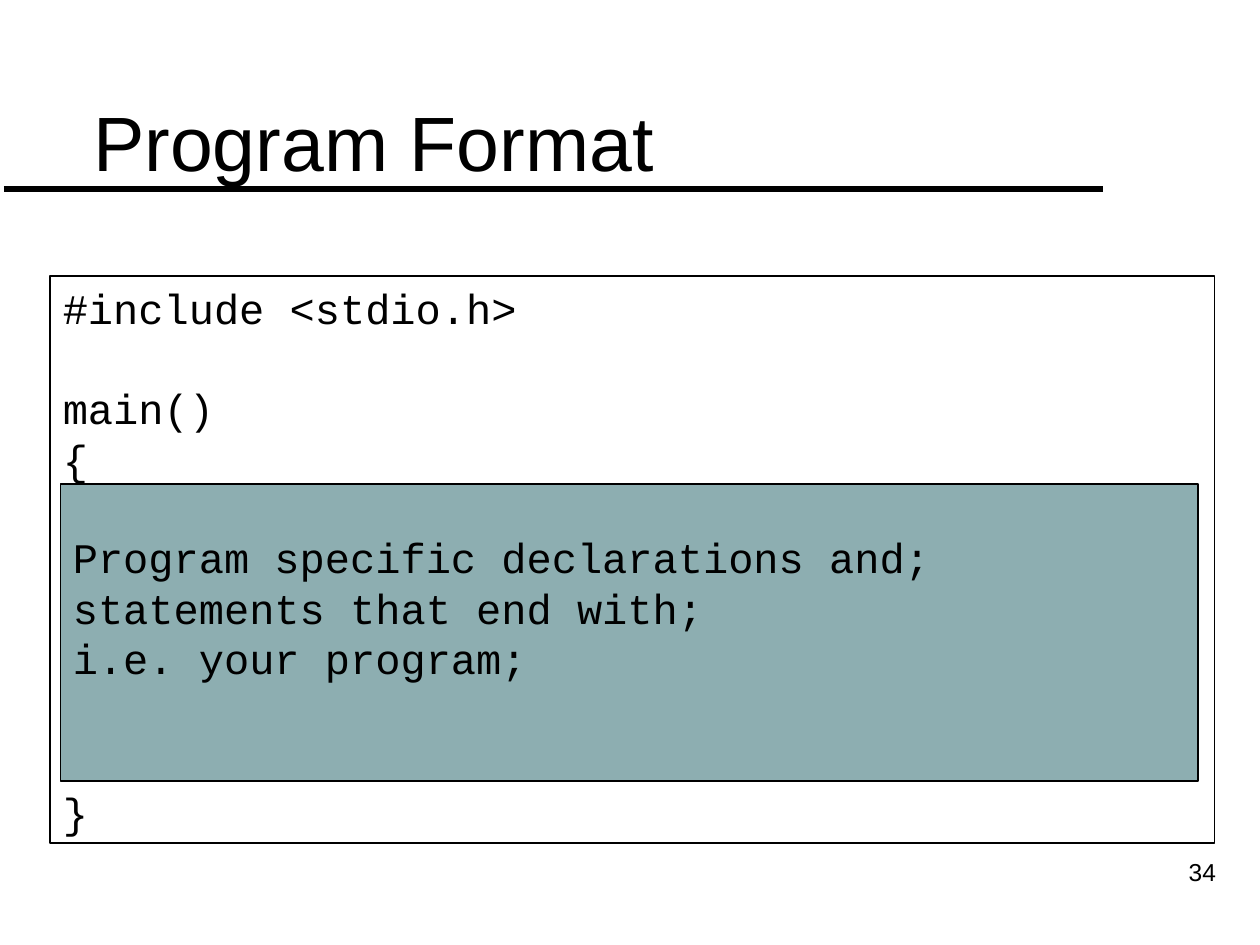
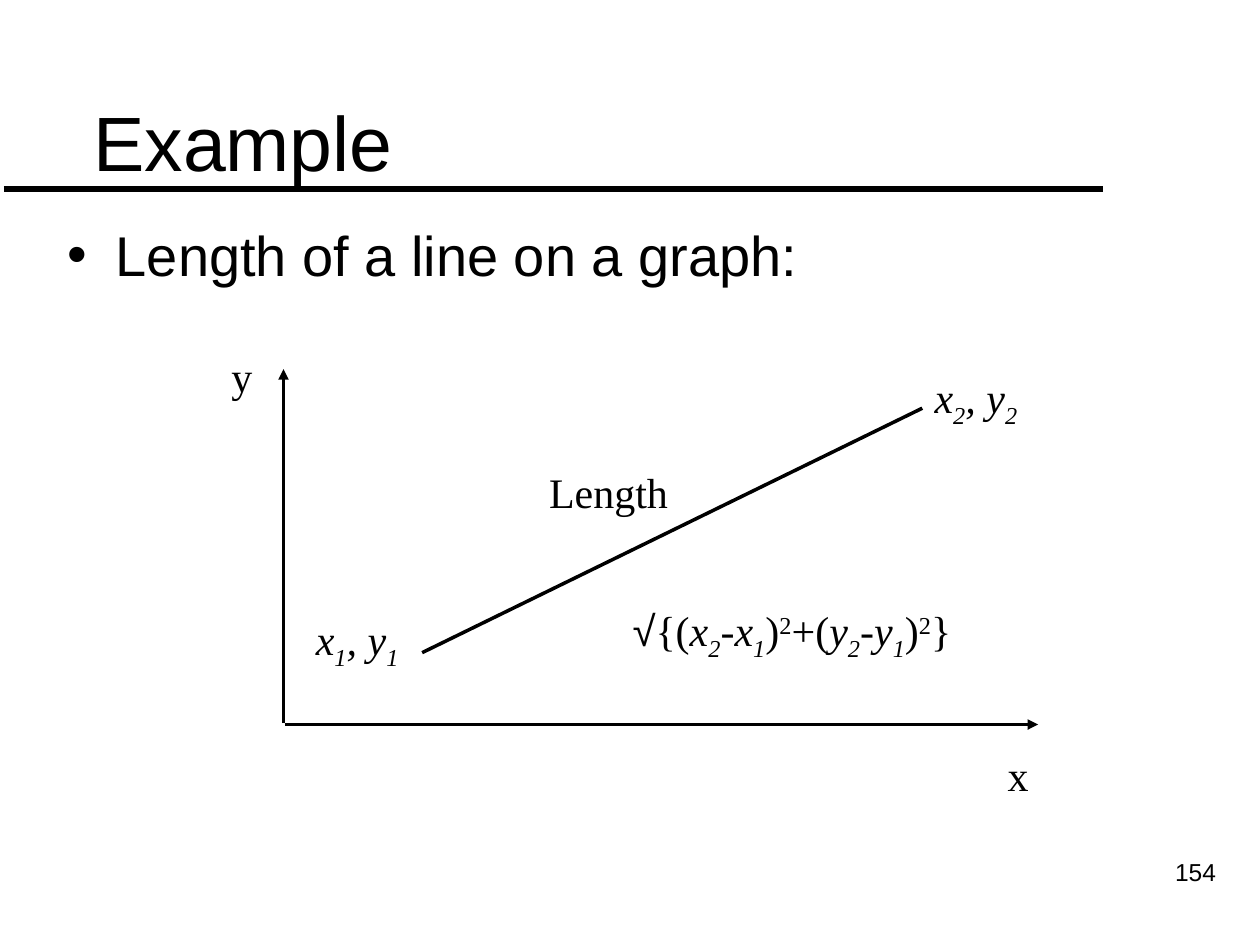
import dataclasses

import lxml.etree
import pptx
import pptx.dml.color
import pptx.enum.shapes
import pptx.enum.text
import pptx.oxml.ns
import pptx.util

PX = 9144
ALIGN = pptx.enum.text.PP_ALIGN
ANCHOR = pptx.enum.text.MSO_ANCHOR


@dataclasses.dataclass(frozen=True)
class Theme:
    ink: str = "000000"
    panel: str = "8DAEB1"
    sans: str = "Arial"
    serif: str = "Times New Roman"
    mono: str = "Courier New"
    title_size: int = 44
    bullet_size: int = 32
    text_size: int = 24
    number_size: int = 14
    code_pitch: float = 28.8
    rule_width: int = 4
    axis_width: int = 2
    frame_width: int = 1


RUN_STYLES = {
    "plain": {},
    "variable": {"italic": True},
    "index": {"italic": True, "baseline": -25000},
    "power": {"baseline": 30000},
    "root": {"name": Theme.sans},
}


def px(*lengths):
    return [pptx.util.Emu(length * PX) for length in lengths]


def color(value):
    return pptx.dml.color.RGBColor.from_string(value)


def apply(target, values):
    for name, value in values.items():
        setattr(target, name, value)


def add_element(parent, tag, **attributes):
    element = lxml.etree.SubElement(parent, pptx.oxml.ns.qn(tag))
    for name, value in attributes.items():
        element.set(name, value)


def point_label(index):
    return [("x", "variable"), (index, "index"), (", y", "variable"), (index, "index")]


def squared_difference(letter):
    return [
        (letter, "variable"), ("2", "index"),
        ("-" + letter, "variable"), ("1", "index"),
        (")", "plain"), ("2", "power"),
    ]


class Deck:
    def __init__(self, theme):
        self.theme = theme
        self.presentation = pptx.Presentation()
        apply(self.presentation, dict(zip(("slide_width", "slide_height"), px(1000, 750))))
        self.slide = None

    def start_slide(self, title, number):
        theme = self.theme
        self.slide = self.presentation.slides.add_slide(self.presentation.slide_layouts[5])
        self.line((3, 150), (875, 150), theme.rule_width)
        self.text((842, 675, 133, 52), number, theme.sans, theme.number_size, ALIGN.RIGHT)
        shape = self.slide.shapes.title
        apply(shape, dict(zip(("left", "top", "width", "height"), px(64, 32, 850, 121))))
        self.frame(shape, vertical_anchor=ANCHOR.BOTTOM)
        self.add_runs(shape.text_frame.paragraphs[0], title, theme.sans, theme.title_size)

    def frame(self, shape, **values):
        margins = dict(zip(("margin_left", "margin_top", "margin_right", "margin_bottom"),
                           px(10, 5, 10, 5)))
        defaults = {"word_wrap": True, "auto_size": pptx.enum.text.MSO_AUTO_SIZE.NONE,
                    "vertical_anchor": ANCHOR.TOP}
        apply(shape.text_frame, {**defaults, **margins, **values})

    def add_runs(self, paragraph, content, font, size, alignment=ALIGN.LEFT):
        paragraph.alignment = alignment
        pieces = [(content, "plain")] if isinstance(content, str) else content
        for text, style in pieces:
            run = paragraph.add_run()
            run.text = text
            values = {"name": font, "size": pptx.util.Pt(size), **RUN_STYLES[style]}
            baseline = values.pop("baseline", None)
            apply(run.font, values)
            run.font.color.rgb = color(self.theme.ink)
            if baseline:
                run._r.get_or_add_rPr().set("baseline", str(baseline))

    def text(self, box, content, font, size, alignment=ALIGN.LEFT, wrap=True):
        shape = self.slide.shapes.add_textbox(*px(*box))
        self.frame(shape, word_wrap=wrap)
        self.add_runs(shape.text_frame.paragraphs[0], content, font, size, alignment)
        return shape

    def label(self, box, content, wrap=False):
        self.text(box, content, self.theme.serif, self.theme.text_size, ALIGN.CENTER, wrap)

    def bullet(self, box, content):
        shape = self.text(box, content, self.theme.sans, self.theme.bullet_size)
        properties = shape.text_frame.paragraphs[0]._p.get_or_add_pPr()
        indent = px(38)[0]
        properties.set("marL", str(indent))
        properties.set("indent", str(-indent))
        add_element(properties, "a:buFont", typeface=self.theme.sans)
        add_element(properties, "a:buChar", char="•")

    def code(self, box, lines, fill=None, **frame_values):
        theme = self.theme
        shape = self.slide.shapes.add_shape(pptx.enum.shapes.MSO_SHAPE.RECTANGLE, *px(*box))
        shape.shadow.inherit = False
        if fill:
            shape.fill.solid()
            shape.fill.fore_color.rgb = color(fill)
        else:
            shape.fill.background()
        shape.line.color.rgb = color(theme.ink)
        shape.line.width = pptx.util.Pt(theme.frame_width)
        self.frame(shape, **frame_values)
        frame = shape.text_frame
        for position, (text, lines_before) in enumerate(lines):
            paragraph = frame.add_paragraph() if position else frame.paragraphs[0]
            values = {"line_spacing": pptx.util.Pt(theme.code_pitch)}
            if lines_before:
                values["space_before"] = pptx.util.Pt(theme.code_pitch * lines_before)
            apply(paragraph, values)
            self.add_runs(paragraph, text, theme.mono, theme.text_size)

    def line(self, start, end, width, arrow=False):
        connector = self.slide.shapes.add_connector(
            pptx.enum.shapes.MSO_CONNECTOR.STRAIGHT, *px(*start, *end))
        connector.line.color.rgb = color(self.theme.ink)
        connector.line.width = pptx.util.Pt(width)
        properties = connector._element.spPr
        if arrow:
            add_element(properties.find(pptx.oxml.ns.qn("a:ln")), "a:tailEnd", type="triangle")
        add_element(properties, "a:effectLst")


def program_format(deck):
    deck.start_slide("Program Format", "34")
    deck.code((40, 219, 924, 450),
              [("#include <stdio.h>", 0), ("main()", 1), ("{", 0), ("}", 6)])
    deck.code((48, 384, 903, 236),
              [("Program specific declarations and;", 0),
               ("statements that end with;", 0),
               ("i.e. your program;", 0)],
              fill=deck.theme.panel, word_wrap=False,
              vertical_anchor=ANCHOR.MIDDLE, margin_bottom=px(45)[0])


def line_length(deck):
    deck.start_slide("Example", "154")
    deck.bullet((44, 170, 912, 447), "Length of a line on a graph:")
    width = deck.theme.axis_width
    deck.line((225, 574), (225, 293), width, arrow=True)
    deck.line((226, 575), (824, 575), width, arrow=True)
    deck.line((335, 518), (732, 324), width)
    deck.label((241, 482, 85, 55), point_label("1"))
    deck.label((732, 290, 85, 55), point_label("2"))
    formula = [("√", "root"), ("{(", "plain"), *squared_difference("x"),
               ("+(", "plain"), *squared_difference("y"), ("}", "plain")]
    deck.label((481, 475, 295, 55), formula, wrap=True)
    deck.label((426, 365, 114, 50), "Length")
    deck.label((174, 273, 36, 50), "y")
    deck.label((790, 590, 36, 50), "x")


def main():
    deck = Deck(Theme())
    program_format(deck)
    line_length(deck)
    deck.presentation.save("out.pptx")


if __name__ == "__main__":
    main()
